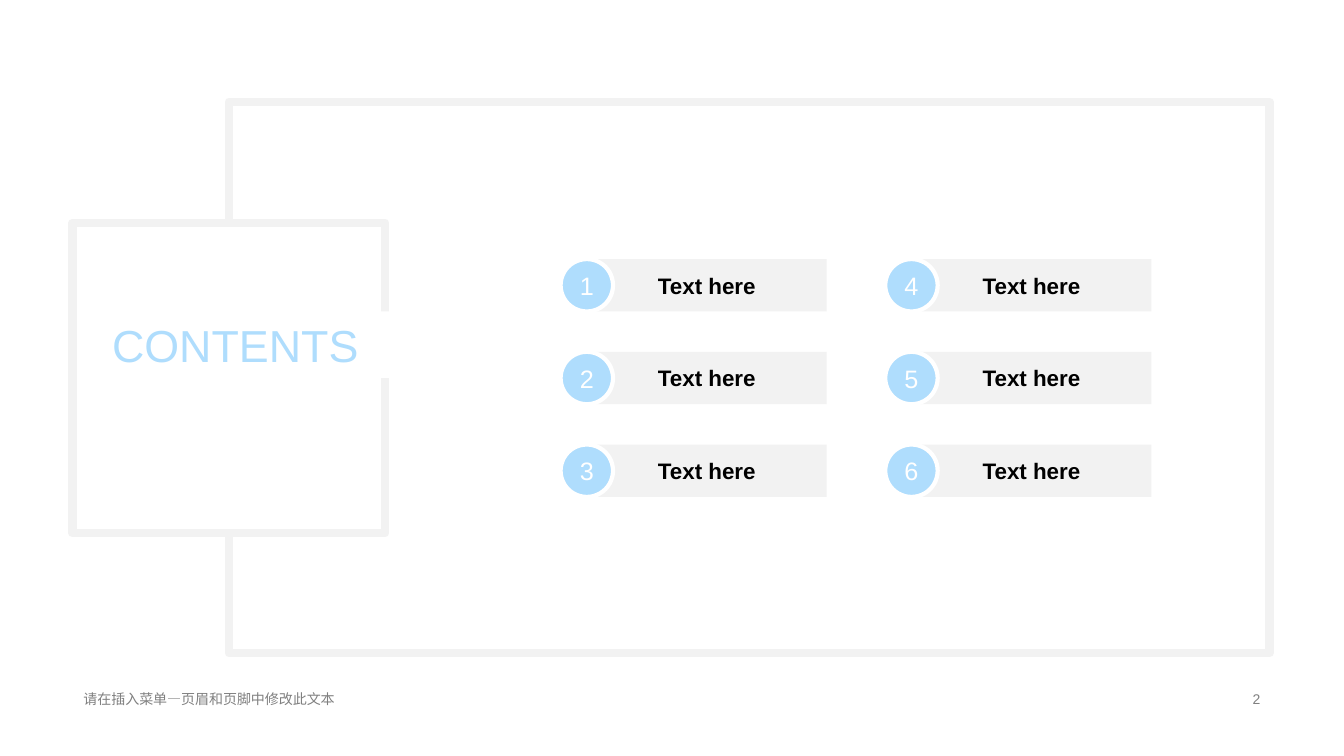
from pptx import Presentation
from pptx.dml.color import RGBColor
from pptx.enum.shapes import MSO_SHAPE
from pptx.enum.text import MSO_ANCHOR, MSO_AUTO_SIZE, PP_ALIGN
from pptx.util import Inches, Pt

GREY, BLUE, WHITE = "F2F2F2", "AFDDFD", "FFFFFF"


def paint(color_format, color):
    color_format.rgb = RGBColor.from_string(color)


def write(holder, text, size, color, align=PP_ALIGN.CENTER, bold=False):
    frame = holder.text_frame
    frame.text = text
    frame.word_wrap = True
    frame.auto_size = MSO_AUTO_SIZE.NONE
    frame.vertical_anchor = MSO_ANCHOR.MIDDLE
    paragraph = frame.paragraphs[0]
    paragraph.alignment = align
    font = paragraph.runs[0].font
    font.name, font.size, font.bold = "Arial", Pt(size), bold
    paint(font.color, color)


prs = Presentation()
prs.slide_width, prs.slide_height = Inches(13.33), Inches(7.5)
slide = prs.slides.add_slide(prs.slide_layouts[5])
shapes = slide.shapes

for left, width, text, align in [
    (0.73, 4.53, "请在插入菜单—页眉和页脚中修改此文本", PP_ALIGN.LEFT),
    (9.42, 3.18, "2", PP_ALIGN.RIGHT),
]:
    footer = shapes.add_textbox(Inches(left), Inches(6.82), Inches(width), Inches(0.23))
    write(footer, text, 10, "808080", align)

for left, top, width, height in [(2.27, 1.01, 10.32, 5.47), (0.72, 2.21, 3.1, 3.08)]:
    border = shapes.add_shape(
        MSO_SHAPE.RECTANGLE, Inches(left), Inches(top), Inches(width), Inches(height)
    )
    border.shadow.inherit = False
    border.fill.solid()
    paint(border.fill.fore_color, WHITE)
    paint(border.line.color, GREY)
    border.line.width = Pt(6)

heading = shapes.title
heading.left, heading.top = Inches(0.78), Inches(3.09)
heading.width, heading.height = Inches(3.11), Inches(0.66)
heading.fill.solid()
paint(heading.fill.fore_color, WHITE)
write(heading, "CONTENTS", 32, BLUE)
border._element.addnext(heading._element)

for index in range(6):
    column, row = divmod(index, 3)
    left = 5.56 + 3.22 * column
    top = Inches(2.57 + 0.92 * row)

    entry = shapes.add_shape(
        MSO_SHAPE.RECTANGLE, Inches(left + 0.26), top, Inches(2.38), Inches(0.52)
    )
    entry.shadow.inherit = False
    entry.fill.solid()
    paint(entry.fill.fore_color, GREY)
    entry.line.fill.background()
    write(entry, "Text here", 16, "000000", bold=True)

    number = shapes.add_shape(
        MSO_SHAPE.OVAL, Inches(left), top, Inches(0.52), Inches(0.52)
    )
    number.shadow.inherit = False
    number.fill.solid()
    paint(number.fill.fore_color, BLUE)
    paint(number.line.color, WHITE)
    number.line.width = Pt(3)
    number.text_frame.margin_left = number.text_frame.margin_right = 0
    write(number, str(index + 1), 18, WHITE)

prs.save("out.pptx")
